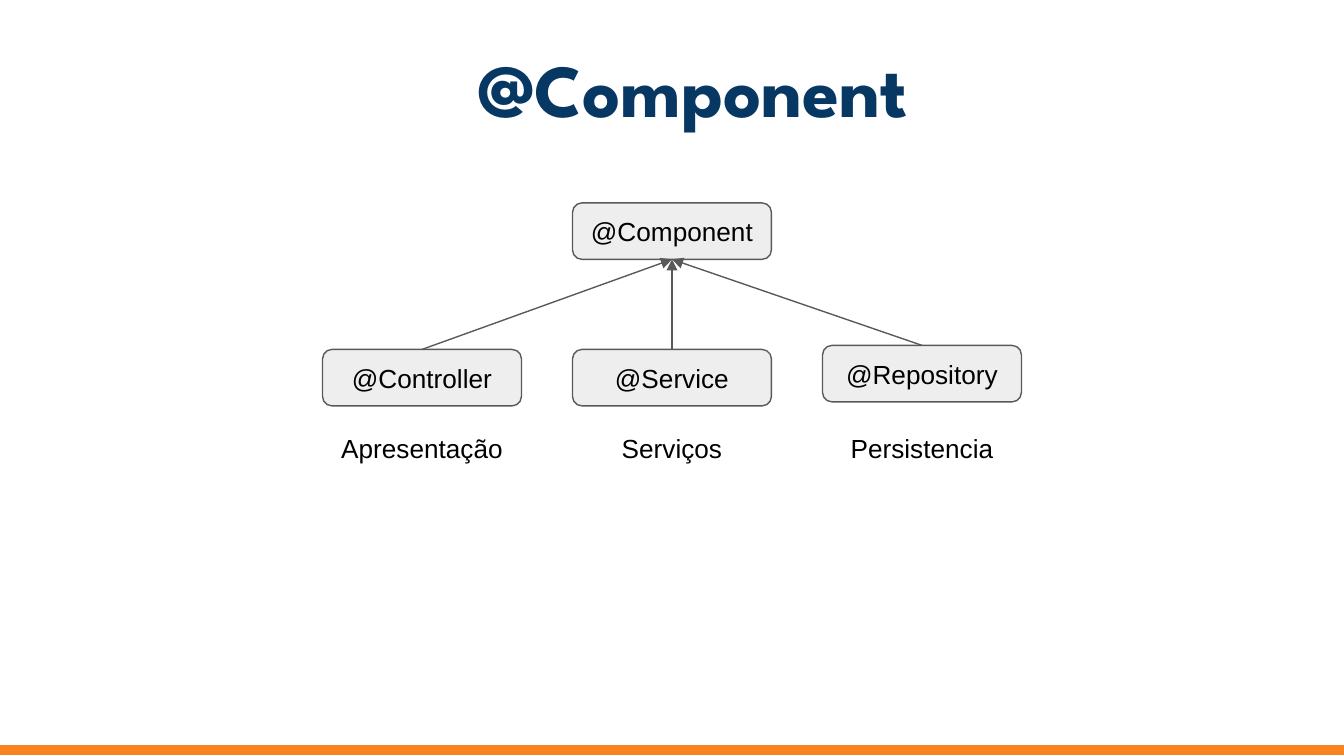
from lxml import etree
from pptx import Presentation
from pptx.dml.color import RGBColor
from pptx.enum.shapes import MSO_CONNECTOR, MSO_SHAPE
from pptx.enum.text import MSO_ANCHOR, PP_ALIGN
from pptx.oxml.ns import qn
from pptx.util import Inches, Pt

RECTANGLE = MSO_SHAPE.RECTANGLE
ROUNDED = MSO_SHAPE.ROUNDED_RECTANGLE
STRAIGHT = MSO_CONNECTOR.STRAIGHT
CENTER = PP_ALIGN.CENTER
TOP, MIDDLE = MSO_ANCHOR.TOP, MSO_ANCHOR.MIDDLE

COLORS = {
    "title": "073763",
    "bar": "F78321",
    "box": "EEEEEE",
    "outline": "595959",
    "text": "000000",
}
BOX_WIDTH, BOX_HEIGHT = 1.48, 0.42
FIRST_LEFT, COLUMN_STEP = 2.4, 1.86


def write_text(shape, text, anchor=MIDDLE, size=14, font="Arial", color="text", bold=False):
    frame = shape.text_frame
    frame.text = text
    frame.word_wrap = True
    frame.vertical_anchor = anchor
    frame.margin_left = frame.margin_right = Inches(0.1)
    frame.margin_top = frame.margin_bottom = Inches(0.1)
    paragraph = frame.paragraphs[0]
    paragraph.alignment = CENTER
    run_font = paragraph.runs[0].font
    run_font.name = font
    run_font.size = Pt(size)
    run_font.bold = bold
    run_font.color.rgb = RGBColor.from_string(COLORS[color])


def add_filled_shape(kind, left, top, width, height, fill, outline):
    shape = slide.shapes.add_shape(
        kind, Inches(left), Inches(top), Inches(width), Inches(height))
    shape.shadow.inherit = False
    shape.fill.solid()
    shape.fill.fore_color.rgb = RGBColor.from_string(COLORS[fill])
    shape.line.color.rgb = RGBColor.from_string(COLORS[outline])
    shape.line.width = Pt(0.75)
    return shape


presentation = Presentation()
presentation.slide_width = Inches(10)
presentation.slide_height = Inches(10) * 9 // 16
slide = presentation.slides.add_slide(presentation.slide_layouts[6])

title = slide.shapes.add_textbox(Inches(0.65), Inches(0.33), Inches(9.01), Inches(0.65))
write_text(title, "@Component", size=40, font="League Spartan", color="title", bold=True)

add_filled_shape(RECTANGLE, 0, 5.55, 10, 0.06, "bar", "bar")

parent = add_filled_shape(
    ROUNDED, FIRST_LEFT + COLUMN_STEP, 1.51, BOX_WIDTH, BOX_HEIGHT, "box", "outline")
write_text(parent, "@Component")

# Annotation, its layer, top of its box
stereotypes = [
    ("@Controller", "Apresentação", 2.6),
    ("@Service", "Serviços", 2.6),
    ("@Repository", "Persistencia", 2.57),
]
for column, (annotation, layer, top) in enumerate(stereotypes):
    left = FIRST_LEFT + column * COLUMN_STEP
    box = add_filled_shape(ROUNDED, left, top, BOX_WIDTH, BOX_HEIGHT, "box", "outline")
    write_text(box, annotation)

    arrow = slide.shapes.add_connector(STRAIGHT, 0, 0, 0, 0)
    arrow.begin_connect(box, 0)
    arrow.end_connect(parent, 2)
    arrow.line.color.rgb = RGBColor.from_string(COLORS["outline"])
    arrow.line.width = Pt(0.75)
    etree.SubElement(arrow.line._get_or_add_ln(), qn("a:tailEnd"), type="triangle")
    etree.SubElement(arrow._element.spPr, qn("a:effectLst"))

    label = slide.shapes.add_textbox(
        Inches(left), Inches(3.12), Inches(BOX_WIDTH), Inches(0.44))
    write_text(label, layer, anchor=TOP)

presentation.save("out.pptx")
